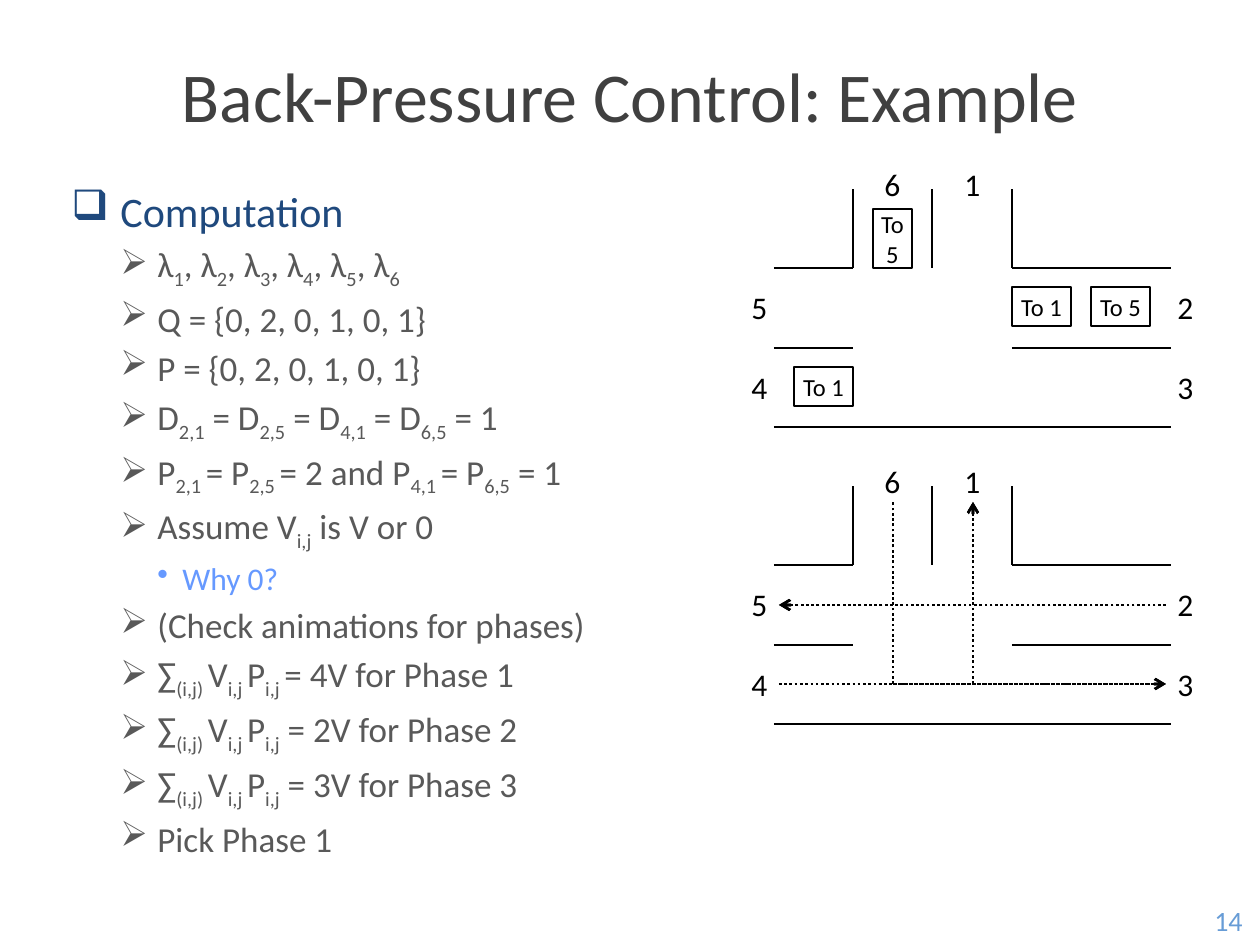
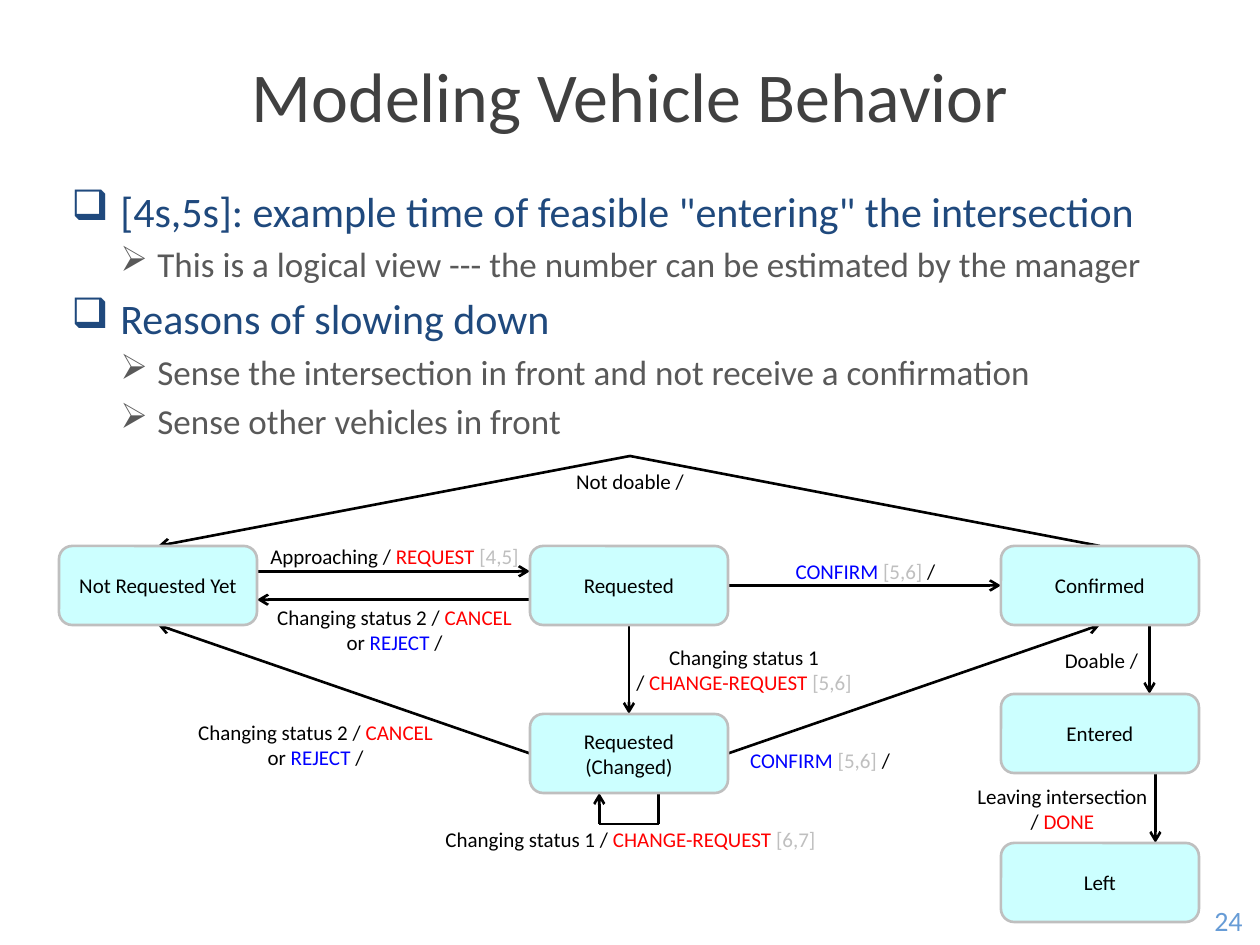
from lxml import etree
from pptx import Presentation
from pptx.dml.color import RGBColor
from pptx.enum.dml import MSO_LINE
from pptx.enum.shapes import MSO_CONNECTOR, MSO_SHAPE
from pptx.enum.text import MSO_ANCHOR, PP_ALIGN
from pptx.oxml.ns import qn
from pptx.util import Pt

PX = 914400 // 126
STRAIGHT = MSO_CONNECTOR.STRAIGHT
RECTANGLE = MSO_SHAPE.RECTANGLE
ROUNDED = MSO_SHAPE.ROUNDED_RECTANGLE
DOTTED = MSO_LINE.ROUND_DOT
MIDDLE = MSO_ANCHOR.MIDDLE
CENTER = PP_ALIGN.CENTER

FONT = "Calibri"
BLACK = RGBColor(0x00, 0x00, 0x00)
TITLE_GRAY = RGBColor(0x40, 0x40, 0x40)
TEXT_GRAY = RGBColor(0x59, 0x59, 0x59)
NAVY = RGBColor(0x1F, 0x49, 0x7D)
LIGHT_BLUE = RGBColor(0x66, 0x99, 0xFF)
NUMBER_BLUE = RGBColor(0x67, 0x9C, 0xD6)
STATE_FILL = RGBColor(0xCC, 0xFF, 0xFF)
SILVER = RGBColor(0xBF, 0xBF, 0xBF)
RED = RGBColor(0xFF, 0x00, 0x00)
BLUE = RGBColor(0x00, 0x00, 0xFF)

TITLE_BOX = (59, 35, 1142, 118)
BODY_BOX = (59, 179, 1142, 714)
NUMBER_BOX = (1197, 895, 63, 50)

# Per outline level: bullet, text indent, hanging width, size, colour
LEVELS = [
    ("❑", 49, 49, 24, NAVY),
    ("➢", 86, 37, 20, TEXT_GRAY),
    ("•", 111, 25, 18, LIGHT_BLUE),
]

# Outlines are (level, text); text between tildes is subscript
COMPUTATION = [
    (0, "Computation"),
    (1, "λ~1~, λ~2~, λ~3~, λ~4~, λ~5~, λ~6~"),
    (1, "Q = {0, 2, 0, 1, 0, 1}"),
    (1, "P = {0, 2, 0, 1, 0, 1}"),
    (1, "D~2,1~ = D~2,5~ = D~4,1~ = D~6,5~ = 1"),
    (1, "P~2,1 ~= P~2,5 ~= 2 and P~4,1 ~= P~6,5~ = 1"),
    (1, "Assume V~i,j~ is V or 0"),
    (2, "Why 0?"),
    (1, "(Check animations for phases)"),
    (1, "∑~(i,j) ~V~i,j ~P~i,j ~= 4V for Phase 1"),
    (1, "∑~(i,j) ~V~i,j ~P~i,j~ = 2V for Phase 2"),
    (1, "∑~(i,j) ~V~i,j ~P~i,j~ = 3V for Phase 3"),
    (1, "Pick Phase 1"),
]
BEHAVIOR = [
    (0, '[4s,5s]: example time of feasible "entering" the intersection'),
    (1, "This is a logical view --- the number can be estimated by the manager"),
    (0, "Reasons of slowing down"),
    (1, "Sense the intersection in front and not receive a confirmation"),
    (1, "Sense other vehicles in front"),
]

# Intersection, measured for the upper drawing
WEST, LEFT_CURB, DIVIDER, RIGHT_CURB, EAST = 774, 853, 932, 1012, 1171
NORTH, UPPER_CURB, MEDIAN, LOWER_CURB = 189, 268, 348, 427
ROADS = [
    ((x, UPPER_CURB), (x, NORTH)) for x in (LEFT_CURB, DIVIDER, RIGHT_CURB)
] + [
    (start, end)
    for y in (UPPER_CURB, MEDIAN)
    for start, end in (((WEST, y), (LEFT_CURB, y)), ((RIGHT_CURB, y), (EAST, y)))
] + [((WEST, LOWER_CURB), (EAST, LOWER_CURB))]
LANE_LABELS = {"1": (953, 164), "2": (1166, 287), "3": (1166, 367),
               "4": (740, 367), "5": (740, 287), "6": (873, 164)}
LABEL_SIZE = 39
DRAWING_STEP = 297
VEHICLES = [
    ("To 5", (873, 209, 39, 59)),
    ("To 1", (1012, 287, 59, 39)),
    ("To 5", (1091, 287, 59, 39)),
    ("To 1", (794, 367, 59, 39)),
]

# Movements of each phase: start, end, arrowhead
FLOW_WEST, FLOW_EAST, FLOW_TOP = 779, 1166, 502
LANE_6, LANE_1, UPPER_LANE, LOWER_LANE = 893, 973, 605, 684
PHASES = [
    [((FLOW_EAST, UPPER_LANE), (FLOW_WEST, UPPER_LANE), True)],
    [((FLOW_WEST, LOWER_LANE), (FLOW_EAST, LOWER_LANE), True),
     ((LANE_6, UPPER_LANE), (LANE_6, FLOW_TOP), False),
     ((LANE_1, LOWER_LANE), (LANE_1, FLOW_TOP), True)],
    [((LANE_6, LOWER_LANE), (LANE_6, FLOW_TOP), False),
     ((LANE_6, UPPER_LANE), (FLOW_WEST, UPPER_LANE), True),
     ((LANE_6, LOWER_LANE), (FLOW_EAST, LOWER_LANE), True),
     ((LANE_1, UPPER_LANE), (LANE_1, FLOW_TOP), True),
     ((FLOW_EAST, UPPER_LANE), (LANE_1, UPPER_LANE), False)],
]

# State machine: each state has a column and a top
STATE_WIDTH, STATE_HEIGHT = 198, 79
STATE_LEFT, STATE_STEP = 59, 471
STATES = {
    "Not Requested Yet": (0, 546),
    "Requested": (1, 546),
    "Requested\n(Changed)": (1, 714),
    "Confirmed": (2, 546),
    "Entered": (2, 694),
    "Left": (2, 843),
}
# Transitions: state and fraction of its width and height, at both ends
TRANSITIONS = [
    ("Not Requested Yet", (1, 0.32), "Requested", (0, 0.32)),
    ("Requested", (0, 0.68), "Not Requested Yet", (1, 0.68)),
    ("Requested", (1, 0.5), "Confirmed", (0, 0.5)),
    ("Requested", (0.5, 1), "Requested\n(Changed)", (0.5, 0)),
    ("Requested\n(Changed)", (1, 0.5), "Confirmed", (0.5, 1)),
    ("Requested\n(Changed)", (0, 0.5), "Not Requested Yet", (0.5, 1)),
    ("Confirmed", (0.75, 1), "Entered", (0.75, 0)),
    ("Entered", (0.78, 1), "Left", (0.78, 0)),
]
ROOF_APEX = (630, 456)
LOOP_BOTTOM = 824

CONFIRM = [("CONFIRM ", BLUE), ("[5,6] ", SILVER), ("/", BLACK)]
GIVE_UP = [("Changing status 2 / ", BLACK), ("CANCEL\n", RED), ("or ", BLACK),
           ("REJECT", BLUE), (" /", BLACK)]
TRANSITION_LABELS = [
    ((258, 541, 273, 30), [("Approaching / ", BLACK), ("REQUEST ", RED), ("[4,5]", SILVER)]),
    ((729, 556, 273, 30), CONFIRM),
    ((635, 640, 218, 59), [("Changing status 1\n/ ", BLACK), ("CHANGE-REQUEST ", RED),
                           ("[5,6]", SILVER)]),
    ((748, 745, 144, 30), CONFIRM),
    ((496, 466, 268, 30), [("Not doable /", BLACK)]),
    ((1057, 645, 89, 30), [("Doable /", BLACK)]),
    ((427, 824, 407, 30), [("Changing status 1 / ", BLACK), ("CHANGE-REQUEST ", RED),
                           ("[6,7]", SILVER)]),
    ((973, 784, 179, 49), [("Leaving intersection\n/ ", BLACK), ("DONE", RED)]),
    ((258, 605, 273, 49), GIVE_UP),
    ((179, 720, 273, 49), GIVE_UP),
]


def emu(lengths):
    return [round(length * PX) for length in lengths]


def set_font(font, size, color):
    font.name, font.size = FONT, Pt(size)
    font.color.rgb = color


def fill_centered(shape, runs, size):
    """Write (text, colour) runs in the middle of a shape without insets."""
    frame = shape.text_frame
    frame.word_wrap = True
    frame.vertical_anchor = MIDDLE
    frame.margin_left = frame.margin_right = frame.margin_top = frame.margin_bottom = 0
    paragraph = frame.paragraphs[0]
    paragraph.alignment = CENTER
    set_font(paragraph.font, size, runs[0][1])
    for text, color in runs:
        for index, part in enumerate(text.split("\n")):
            if index:
                paragraph.add_line_break()
            if part:
                run = paragraph.add_run()
                run.text = part
                run.font.color.rgb = color


def add_label(slide, box, runs, size):
    fill_centered(slide.shapes.add_textbox(*emu(box)), runs, size)


def add_box(slide, kind, box, text, size, line_color, fill=None):
    shape = slide.shapes.add_shape(kind, *emu(box))
    shape.shadow.inherit = False
    if fill is None:
        shape.fill.background()
    else:
        shape.fill.solid()
        shape.fill.fore_color.rgb = fill
    shape.line.color.rgb = line_color
    shape.line.width = Pt(1.5)
    fill_centered(shape, [(text, BLACK)], size)


def add_line(slide, start, end, arrow=False, dash=None):
    connector = slide.shapes.add_connector(STRAIGHT, *emu(start + end))
    connector.line.color.rgb = BLACK
    connector.line.width = Pt(1.5)
    if dash is not None:
        connector.line.dash_style = dash
    properties = connector._element.spPr
    if arrow:
        etree.SubElement(properties.find(qn("a:ln")), qn("a:tailEnd"), type="arrow")
    etree.SubElement(properties, qn("a:effectLst"))


def add_outline(slide, outline):
    frame = slide.shapes.add_textbox(*emu(BODY_BOX)).text_frame
    frame.word_wrap = True
    for index, (level, text) in enumerate(outline):
        paragraph = frame.add_paragraph() if index else frame.paragraphs[0]
        bullet, indent, hanging, size, color = LEVELS[level]
        paragraph.level = level
        properties = paragraph._p.get_or_add_pPr()
        properties.set("marL", str(indent * PX))
        properties.set("indent", str(-hanging * PX))
        if index:
            before = etree.SubElement(properties, qn("a:spcBef"))
            etree.SubElement(before, qn("a:spcPct"), val="20000")
        etree.SubElement(properties, qn("a:buChar"), char=bullet)
        set_font(paragraph.font, size, color)
        for position, part in enumerate(text.split("~")):
            if part:
                run = paragraph.add_run()
                run.text = part
                if position % 2:
                    run._r.get_or_add_rPr().set("baseline", "-25000")


def add_slide(presentation, title, outline, number):
    slide = presentation.slides.add_slide(presentation.slide_layouts[5])
    placeholder = slide.shapes.title
    placeholder.left, placeholder.top, placeholder.width, placeholder.height = emu(TITLE_BOX)
    fill_centered(placeholder, [(title, TITLE_GRAY)], 40)
    add_outline(slide, outline)
    add_label(slide, NUMBER_BOX, [(number, NUMBER_BLUE)], 16)
    return slide


def draw_intersection(slide, shift):
    for (x1, y1), (x2, y2) in ROADS:
        add_line(slide, (x1, y1 + shift), (x2, y2 + shift))
    for lane, (x, y) in LANE_LABELS.items():
        add_label(slide, (x, y + shift, LABEL_SIZE, LABEL_SIZE), [(lane, BLACK)], 18)


def state_point(state, fraction):
    column, top = STATES[state]
    return (STATE_LEFT + column * STATE_STEP + fraction[0] * STATE_WIDTH,
            top + fraction[1] * STATE_HEIGHT)


def draw_state_machine(slide):
    for source, source_fraction, target, target_fraction in TRANSITIONS:
        add_line(slide, state_point(source, source_fraction),
                 state_point(target, target_fraction), arrow=True)
    add_line(slide, state_point("Confirmed", (0.5, 0)), ROOF_APEX)
    add_line(slide, ROOF_APEX, state_point("Not Requested Yet", (0.5, 0)), arrow=True)

    loop_start = state_point("Requested\n(Changed)", (0.65, 1))
    loop_end = state_point("Requested\n(Changed)", (0.35, 1))
    right_corner, left_corner = (loop_start[0], LOOP_BOTTOM), (loop_end[0], LOOP_BOTTOM)
    add_line(slide, loop_start, right_corner)
    add_line(slide, right_corner, left_corner)
    add_line(slide, left_corner, loop_end, arrow=True)

    for state in STATES:
        box = state_point(state, (0, 0)) + (STATE_WIDTH, STATE_HEIGHT)
        add_box(slide, ROUNDED, box, state, 12, SILVER, STATE_FILL)
    for box, runs in TRANSITION_LABELS:
        add_label(slide, box, runs, 12)


def main():
    presentation = Presentation()
    presentation.slide_width, presentation.slide_height = emu((1260, 945))

    slide = add_slide(presentation, "Back-Pressure Control: Example", COMPUTATION, "14")
    for shift in (0, DRAWING_STEP):
        draw_intersection(slide, shift)
    for destination, box in VEHICLES:
        add_box(slide, RECTANGLE, box, destination, 14, BLACK)
    for phase in PHASES:
        for start, end, arrow in phase:
            add_line(slide, start, end, arrow, DOTTED)

    slide = add_slide(presentation, "Modeling Vehicle Behavior", BEHAVIOR, "24")
    draw_state_machine(slide)
    presentation.save("out.pptx")


if __name__ == "__main__":
    main()
